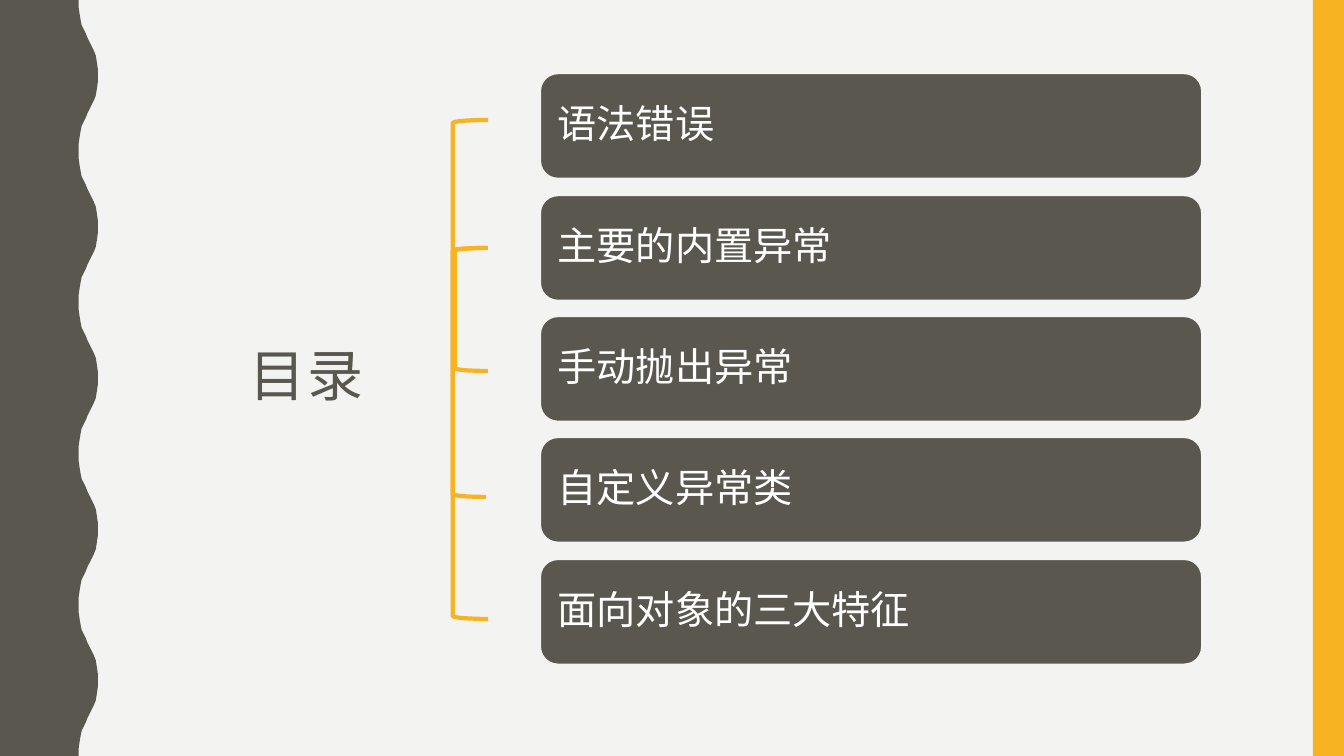
from typing import NamedTuple

from pptx import Presentation
from pptx.dml.color import RGBColor
from pptx.enum import shapes, text
from pptx.oxml import ns
from pptx.util import Emu, Pt
from lxml import etree

PX = 9144  # 100 px to the inch
WIDTH, HEIGHT = 1333, 750
FONT = "Noto Sans CJK SC"
PAPER = RGBColor(0xF3, 0xF3, 0xF2)
DARK = RGBColor(0x59, 0x57, 0x4E)
GOLD = RGBColor(0xF8, 0xB3, 0x23)
WHITE = RGBColor(0xFF, 0xFF, 0xFF)

TOPICS = ["语法错误", "主要的内置异常", "手动抛出异常", "自定义异常类", "面向对象的三大特征"]

# Left edge of the wave, from a trough down to the next crest
RISE = [(78, 0), (78, 7), (79, 14), (80, 20), (81, 25), (83, 29), (85, 33),
        (87, 38), (89, 42), (91, 46), (93, 50), (95, 55), (96, 61), (97, 68), (97, 75)]
PERIOD = 150


class Box(NamedTuple):
    left: int
    top: int
    width: int
    height: int

    def emu(self) -> list[Emu]:
        return [Emu(side * PX) for side in self]


STRIPE = Box(1302, 0, 31, HEIGHT)
TITLE = Box(169, 79, 270, 593)
BRACKETS = [Box(449, 119, 35, 495), Box(449, 246, 33, 247), Box(451, 246, 33, 122)]
CARD = Box(536, 73, 656, 104)
CARD_STEP = 120.5


def add_shape(slide, kind: shapes.MSO_SHAPE, box: Box):
    shape = slide.shapes.add_shape(kind, *box.emu())
    shape.shadow.inherit = False
    return shape


def paint(shape, colour: RGBColor) -> None:
    shape.fill.solid()
    shape.fill.fore_color.rgb = colour
    shape.line.fill.background()


def write(frame, words: str, size: int, colour: RGBColor, align: text.PP_ALIGN):
    """Set one centred-in-height line and return its run."""
    frame.text = words
    frame.word_wrap = True
    frame.auto_size = text.MSO_AUTO_SIZE.NONE
    frame.vertical_anchor = text.MSO_ANCHOR.MIDDLE
    line = frame.paragraphs[0]
    line.alignment = align
    line.line_spacing = 0.9
    run = line.runs[0]
    run.font.size = Pt(size)
    run.font.name = FONT
    run.font.color.rgb = colour
    east = etree.SubElement(run.font._element, ns.qn("a:ea"))
    east.set("typeface", FONT)
    return run


def add_wave(slide) -> None:
    fall = [(x, PERIOD - y) for x, y in reversed(RISE[:-1])]
    wave = RISE + fall[:-1]
    edge = [(x, y + top) for top in range(0, HEIGHT, PERIOD) for x, y in wave]
    edge += [(RISE[0][0], HEIGHT), (0, HEIGHT)]
    pen = slide.shapes.build_freeform(0, 0, scale=PX)
    pen.add_line_segments(edge, close=True)
    shape = pen.convert_to_shape()
    shape.shadow.inherit = False
    paint(shape, DARK)


def add_title(slide) -> None:
    title = slide.shapes.title
    title.left, title.top, title.width, title.height = TITLE.emu()
    run = write(title.text_frame, "目录", 40, DARK, text.PP_ALIGN.CENTER)
    run.font._element.set("spc", "200")


def add_card(slide, row: int, words: str) -> None:
    box = CARD._replace(top=round(CARD.top + row * CARD_STEP))
    card = add_shape(slide, shapes.MSO_SHAPE.ROUNDED_RECTANGLE, box)
    paint(card, DARK)
    card.line.color.rgb = PAPER
    card.line.width = Pt(1)
    frame = card.text_frame
    # The rounded corner adds its own inset of 5 px
    frame.margin_left = frame.margin_right = Emu(12 * PX)
    write(frame, words, 28, WHITE, text.PP_ALIGN.LEFT)


def add_bracket(slide, box: Box) -> None:
    bracket = add_shape(slide, shapes.MSO_SHAPE.LEFT_BRACKET, box)
    bracket.fill.background()
    bracket.line.color.rgb = GOLD
    bracket.line.width = Pt(3)


def main() -> None:
    deck = Presentation()
    deck.slide_width, deck.slide_height = Emu(WIDTH * PX), Emu(HEIGHT * PX)
    slide = deck.slides.add_slide(deck.slide_layouts[5])
    slide.background.fill.solid()
    slide.background.fill.fore_color.rgb = PAPER
    add_wave(slide)
    paint(add_shape(slide, shapes.MSO_SHAPE.RECTANGLE, STRIPE), GOLD)
    add_title(slide)
    for row, words in enumerate(TOPICS):
        add_card(slide, row, words)
    for box in BRACKETS:
        add_bracket(slide, box)
    deck.save("out.pptx")


if __name__ == "__main__":
    main()
